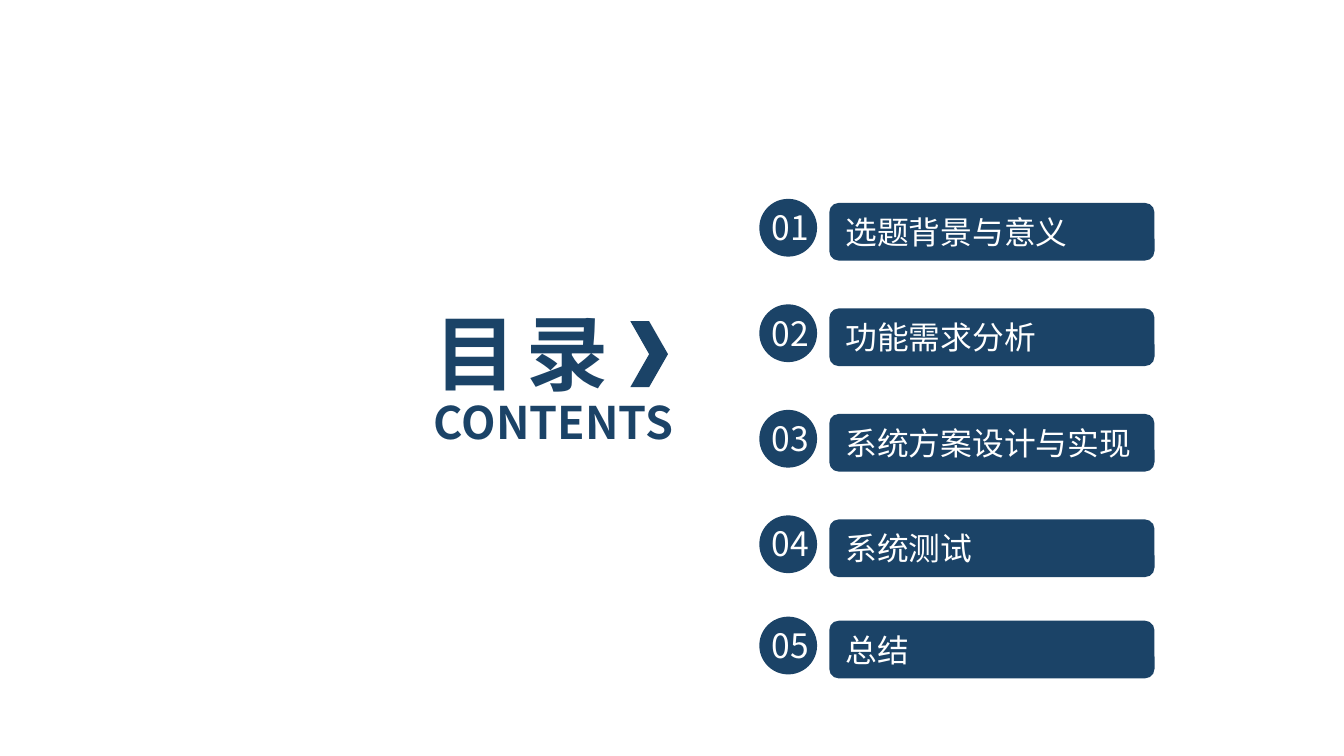
from dataclasses import dataclass

from lxml.etree import SubElement
from pptx import Presentation
from pptx.dml.color import RGBColor
from pptx.enum.shapes import MSO_SHAPE
from pptx.enum.text import MSO_ANCHOR, MSO_AUTO_SIZE, PP_ALIGN
from pptx.oxml.ns import qn
from pptx.util import Inches, Pt

NAVY = RGBColor(0x1B, 0x43, 0x67)
WHITE = RGBColor(0xFF, 0xFF, 0xFF)
FONT = "Noto Sans CJK SC"

# Agenda grid, in inches
FIRST_ROW = 1.48
ROW_PITCH = 3.14 / 4
CIRCLE_COLUMN = 5.65
NUMBER_COLUMN = 5.62
BAR_COLUMN = 6.17
ITEM_HEIGHT = 0.43


@dataclass
class Entry:
    number: str
    label: str
    row: float


ENTRIES = [
    Entry("01", "选题背景与意义", 0),
    Entry("02", "功能需求分析", 1),
    Entry("03", "系统方案设计与实现", 2),
    Entry("04", "系统测试", 3),
    Entry("05", "总结", 3.96),  # the last row sits slightly closer
]


def box(left: float, top: float, width: float, height: float) -> tuple:
    return Inches(left), Inches(top), Inches(width), Inches(height)


def write(shape, text: str, size: float, color: RGBColor, bold: bool = False,
          align: PP_ALIGN = PP_ALIGN.LEFT, spacing: int = 0) -> None:
    """Set one line of text, centred vertically."""
    text_frame = shape.text_frame
    text_frame.text = text
    text_frame.word_wrap = True
    text_frame.auto_size = MSO_AUTO_SIZE.NONE
    text_frame.vertical_anchor = MSO_ANCHOR.MIDDLE
    paragraph = text_frame.paragraphs[0]
    paragraph.alignment = align
    run = paragraph.runs[0]
    run.font.size = Pt(size)
    run.font.bold = bold
    run.font.color.rgb = color
    run.font.name = FONT
    properties = run.font._element
    SubElement(properties, qn("a:ea")).set("typeface", FONT)
    if spacing:
        properties.set("spc", str(spacing))


def add_navy_shape(shapes, kind: MSO_SHAPE, bounds: tuple):
    shape = shapes.add_shape(kind, *bounds)
    shape.shadow.inherit = False
    shape.fill.solid()
    shape.fill.fore_color.rgb = NAVY
    shape.line.fill.background()
    return shape


def add_entry(slide, entry: Entry) -> None:
    top = FIRST_ROW + entry.row * ROW_PITCH
    bar = add_navy_shape(slide.shapes, MSO_SHAPE.ROUNDED_RECTANGLE,
                         box(BAR_COLUMN, top + 0.03, 2.42, ITEM_HEIGHT))
    write(bar, entry.label, 17, WHITE)

    # Numbered badge
    badge = slide.shapes.add_group_shape()
    add_navy_shape(badge.shapes, MSO_SHAPE.OVAL,
                   box(CIRCLE_COLUMN, top, ITEM_HEIGHT, ITEM_HEIGHT))
    number = badge.shapes.add_textbox(*box(NUMBER_COLUMN, top + 0.01, 0.52, 0.4))
    write(number, entry.number, 18, WHITE, align=PP_ALIGN.CENTER)


def main() -> None:
    # Widescreen slide
    presentation = Presentation()
    presentation.slide_width = Inches(10)
    presentation.slide_height = presentation.slide_width * 9 // 16
    slide = presentation.slides.add_slide(presentation.slide_layouts[5])

    # Heading
    title = slide.shapes.title
    title.left, title.top, title.width, title.height = box(3.13, 2.2, 2.35, 0.84)
    write(title, "目 录", 44, NAVY, bold=True, spacing=-220)
    subtitle = slide.shapes.add_textbox(*box(3.13, 2.89, 2.31, 0.5))
    write(subtitle, "CONTENTS", 24, NAVY, bold=True)
    add_navy_shape(slide.shapes, MSO_SHAPE.CHEVRON, box(4.69, 2.39, 0.28, 0.49))

    # Agenda
    for entry in ENTRIES:
        add_entry(slide, entry)

    presentation.save("out.pptx")


if __name__ == "__main__":
    main()
